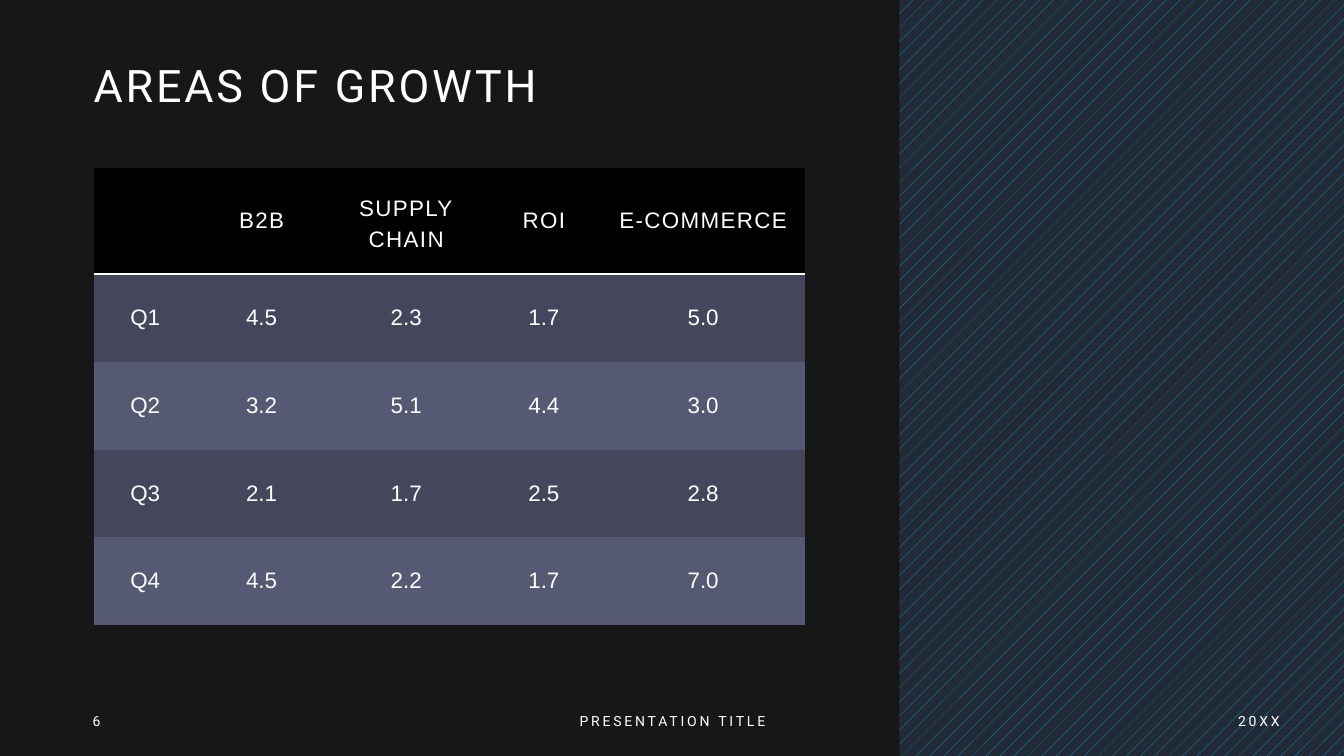
"""Build the "Areas of growth" slide with a quarterly table."""
from dataclasses import dataclass

from lxml.etree import SubElement
from pptx import Presentation
from pptx.dml.color import RGBColor
from pptx.enum.dml import MSO_PATTERN
from pptx.enum.shapes import MSO_SHAPE
from pptx.enum.text import MSO_ANCHOR, PP_ALIGN
from pptx.oxml import parse_xml
from pptx.oxml.ns import nsdecls, qn
from pptx.util import Inches, Pt

TITLE = ("AREAS OF GROWTH", (0.83, 0.6, 7.79, 0.54))
FOOTERS = [
    ("6", (0.82, 6.95, 3, 0.4), PP_ALIGN.LEFT),
    ("PRESENTATION TITLE", (4.42, 6.95, 4.5, 0.4), PP_ALIGN.CENTER),
    ("20XX", (9.79, 6.95, 3, 0.4), PP_ALIGN.RIGHT),
]
GROWTH = [
    ("", "B2B", "SUPPLY CHAIN", "ROI", "E-COMMERCE"),
    ("Q1", "4.5", "2.3", "1.7", "5.0"),
    ("Q2", "3.2", "5.1", "4.4", "3.0"),
    ("Q3", "2.1", "1.7", "2.5", "2.8"),
    ("Q4", "4.5", "2.2", "1.7", "7.0"),
]
TABLE_LEFT, TABLE_TOP = 0.93, 1.67
COL_WIDTHS = (1.02, 1.29, 1.58, 1.15, 2.01)
HEADER_HEIGHT, ROW_HEIGHT = 1.05, 0.87
PANEL = (0, 0, 8.92, 7.5)
NO_STYLE = "{2D5ABB26-0587-4C30-8999-92F81FD0307C}"


@dataclass(frozen=True)
class Theme:
    """Colours, fonts and type sizes."""

    text: str = "FFFFFF"
    panel: str = "181717"
    stripe: str = "00B0F0"
    backdrop: str = "222A35"
    header: str = "000000"
    bands: tuple = ("44475C", "555973")
    heading_font: str = "Roboto"
    table_font: str = "Arial"
    title_size: int = 32
    table_size: int = 16
    footer_size: int = 10


THEME = Theme()


def rgb(value):
    """Turn a hex string into a colour."""
    return RGBColor.from_string(value)


def write(tf, text, font, size, align, spacing=0, line_spacing=None):
    """Put one formatted paragraph into a text frame."""
    tf.text = text
    p = tf.paragraphs[0]
    p.alignment = align
    if line_spacing:
        p.line_spacing = line_spacing
    for r in p.runs:
        r.font.name = font
        r.font.size = Pt(size)
        r.font.color.rgb = rgb(THEME.text)
        r.font._element.set("spc", str(spacing * 100))


def add_label(s, text, box, size, align, line_spacing=None):
    """Add a letter-spaced heading or footer."""
    tf = s.shapes.add_textbox(*map(Inches, box)).text_frame
    tf.word_wrap = True
    tf.vertical_anchor = MSO_ANCHOR.MIDDLE
    write(tf, text, THEME.heading_font, size, align, 2, line_spacing)


def underline(cell):
    """Draw the rule below a header cell."""
    line = parse_xml(f'<a:lnB {nsdecls("a")} w="{Pt(2)}"/>')
    fill = SubElement(line, qn("a:solidFill"))
    SubElement(fill, qn("a:srgbClr"), val=THEME.text)
    cell._tc.get_or_add_tcPr().insert(0, line)


def add_growth_table(s):
    """Add the table with a header row and alternating bands."""
    heights = [HEADER_HEIGHT] + [ROW_HEIGHT] * (len(GROWTH) - 1)
    box = (TABLE_LEFT, TABLE_TOP, sum(COL_WIDTHS), sum(heights))
    table = s.shapes.add_table(
        len(GROWTH), len(COL_WIDTHS), *map(Inches, box)).table
    table._tbl.tblPr.find(qn("a:tableStyleId")).text = NO_STYLE
    table.horz_banding = False
    for column, width in zip(table.columns, COL_WIDTHS):
        column.width = Inches(width)
    for i, (row, height) in enumerate(zip(table.rows, heights)):
        row.height = Inches(height)
        is_header = i == 0
        color = THEME.header if is_header else THEME.bands[(i - 1) % 2]
        for cell, text in zip(row.cells, GROWTH[i]):
            cell.fill.solid()
            cell.fill.fore_color.rgb = rgb(color)
            cell.vertical_anchor = MSO_ANCHOR.MIDDLE
            write(cell.text_frame, text, THEME.table_font, THEME.table_size,
                  PP_ALIGN.CENTER, int(is_header),
                  1.25 if " " in text else None)
            if is_header:
                underline(cell)


def main():
    """Assemble and save the slide."""
    prs = Presentation()
    prs.slide_width, prs.slide_height = Inches(13.33), Inches(7.5)
    s = prs.slides.add_slide(prs.slide_layouts[6])
    fill = s.background.fill
    fill.patterned()
    fill.pattern = MSO_PATTERN.PERCENT_5
    fill.fore_color.rgb = rgb(THEME.stripe)
    fill.back_color.rgb = rgb(THEME.backdrop)

    sp = s.shapes.add_shape(MSO_SHAPE.RECTANGLE, *map(Inches, PANEL))
    sp.shadow.inherit = False
    sp.fill.solid()
    sp.fill.fore_color.rgb = rgb(THEME.panel)
    sp.line.fill.background()

    add_label(s, *TITLE, THEME.title_size, PP_ALIGN.LEFT, 0.9)
    add_growth_table(s)
    for text, box, align in FOOTERS:
        add_label(s, text, box, THEME.footer_size, align)
    prs.save("out.pptx")


if __name__ == "__main__":
    main()
